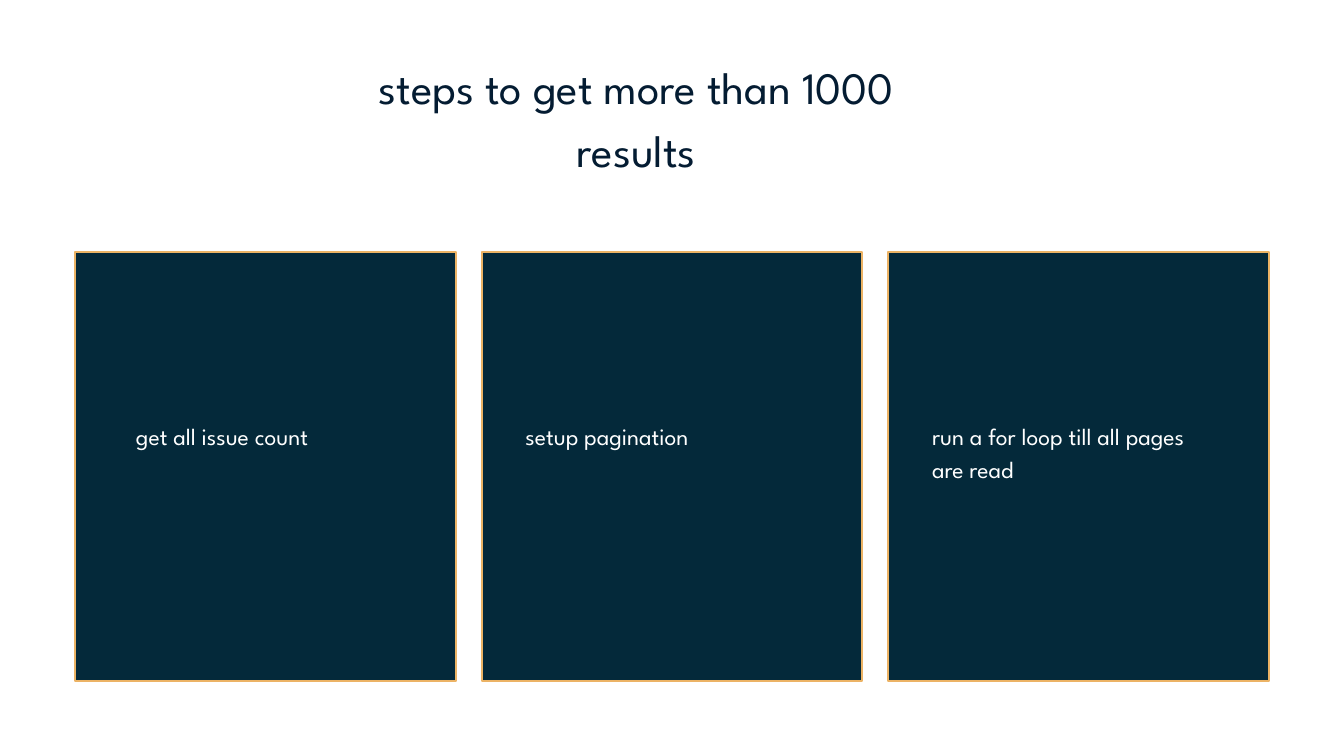
from dataclasses import dataclass

from pptx import Presentation
from pptx import util as u
from pptx.dml.color import RGBColor
from pptx.enum import shapes, text


@dataclass(frozen=True)
class Theme:
    font: str = "League Spartan"
    background: str = "FFFFFF"
    title_color: str = "041C32"
    card_fill: str = "04293A"
    card_line: str = "ECB365"
    card_text: str = "FFFFFF"
    title_size: float = 48
    title_spacing: float = 67.2
    card_size: float = 25.3
    card_spacing: float = 35.4
    line_width: float = 2.25


def write_text(shape, content, *, font, size, color, spacing,
               align=text.PP_ALIGN.LEFT):
    """Fill a shape with one formatted paragraph, without margins."""
    frame = shape.text_frame
    frame.word_wrap = True
    frame.auto_size = text.MSO_AUTO_SIZE.NONE
    frame.vertical_anchor = text.MSO_ANCHOR.TOP
    frame.margin_left = frame.margin_right = 0
    frame.margin_top = frame.margin_bottom = 0
    paragraph = frame.paragraphs[0]
    paragraph.alignment = align
    paragraph.line_spacing = u.Pt(spacing)
    paragraph.space_before = u.Pt(0)
    run = paragraph.add_run()
    run.text = content
    run.font.name = font
    run.font.size = u.Pt(size)
    run.font.color.rgb = RGBColor.from_string(color)


class SlideBuilder:
    def __init__(self, slide, theme):
        self.slide = slide
        self.theme = theme

    def background(self):
        fill = self.slide.background.fill
        fill.solid()
        fill.fore_color.rgb = RGBColor.from_string(self.theme.background)

    def title(self, content, left, top, width, height):
        shape = self.slide.shapes.title
        shape.left, shape.top = u.Inches(left), u.Inches(top)
        shape.width, shape.height = u.Inches(width), u.Inches(height)
        write_text(shape, content, font=self.theme.font,
                   size=self.theme.title_size, color=self.theme.title_color,
                   spacing=self.theme.title_spacing,
                   align=text.PP_ALIGN.CENTER)

    def card(self, left, top, width, height):
        shape = self.slide.shapes.add_shape(
            shapes.MSO_SHAPE.RECTANGLE, u.Inches(left), u.Inches(top),
            u.Inches(width), u.Inches(height))
        shape.shadow.inherit = False
        shape.fill.solid()
        shape.fill.fore_color.rgb = RGBColor.from_string(self.theme.card_fill)
        shape.line.color.rgb = RGBColor.from_string(self.theme.card_line)
        shape.line.width = u.Pt(self.theme.line_width)

    def caption(self, content, left, top, width, height, align):
        shape = self.slide.shapes.add_textbox(
            u.Inches(left), u.Inches(top), u.Inches(width), u.Inches(height))
        write_text(shape, content, font=self.theme.font,
                   size=self.theme.card_size, color=self.theme.card_text,
                   spacing=self.theme.card_spacing, align=align)


def main():
    presentation = Presentation()
    presentation.slide_width = u.Inches(20)
    presentation.slide_height = u.Inches(11.25)
    title_only = presentation.slide_layouts[5]
    builder = SlideBuilder(presentation.slides.add_slide(title_only), Theme())

    # Background and title
    builder.background()
    builder.title("steps to get more than 1000 results", 5.07, 0.76, 8.8, 1.84)

    # Three equal cards, each with the caption of one step
    first_left, pitch, inset = 1.12, 6.05, 0.65
    steps = [
        ("get all issue count", 3.07, 0.97, text.PP_ALIGN.CENTER),
        ("setup pagination", 4.36, 0.48, text.PP_ALIGN.LEFT),
        ("run a for loop till all pages are read", 3.91, 0.97,
         text.PP_ALIGN.LEFT),
    ]
    for index, (content, width, height, align) in enumerate(steps):
        left = first_left + index * pitch
        builder.card(left, 3.75, 5.66, 6.38)
        builder.caption(content, left + inset, 6.21, width, height, align)

    presentation.save("out.pptx")


if __name__ == "__main__":
    main()
